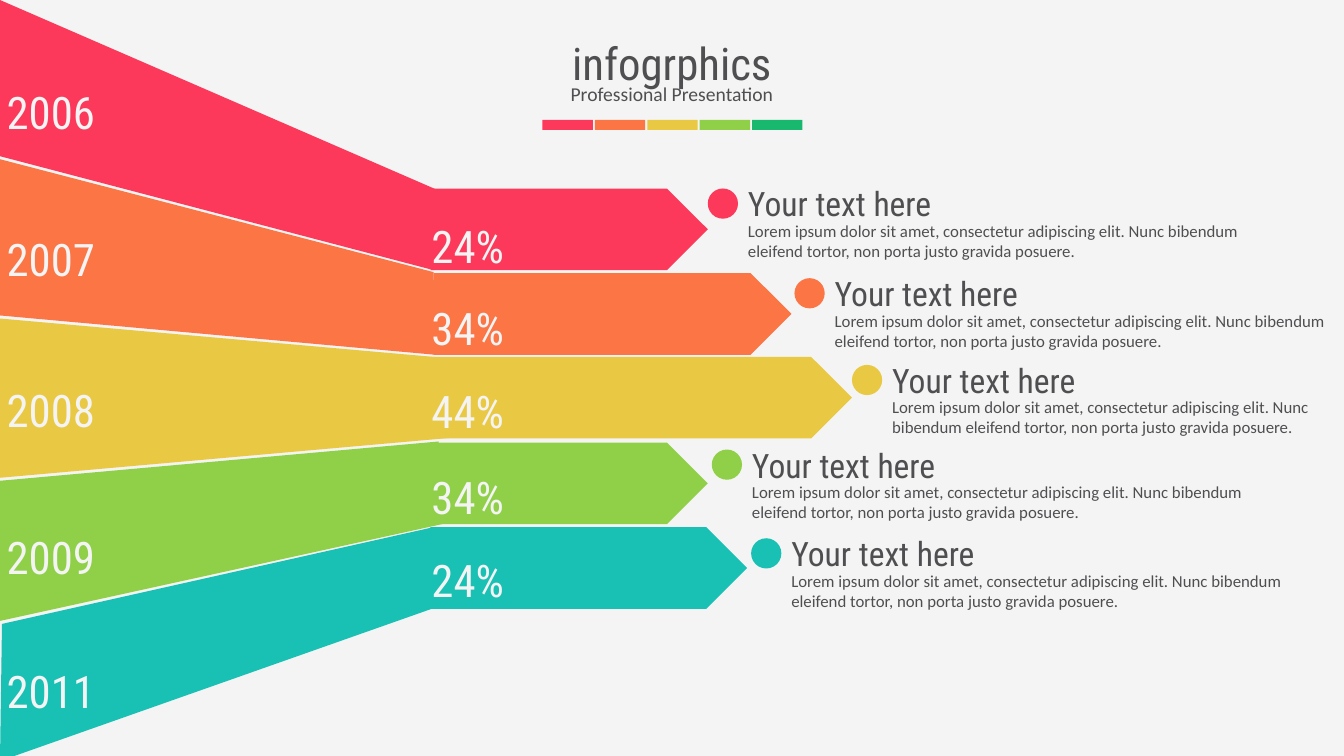
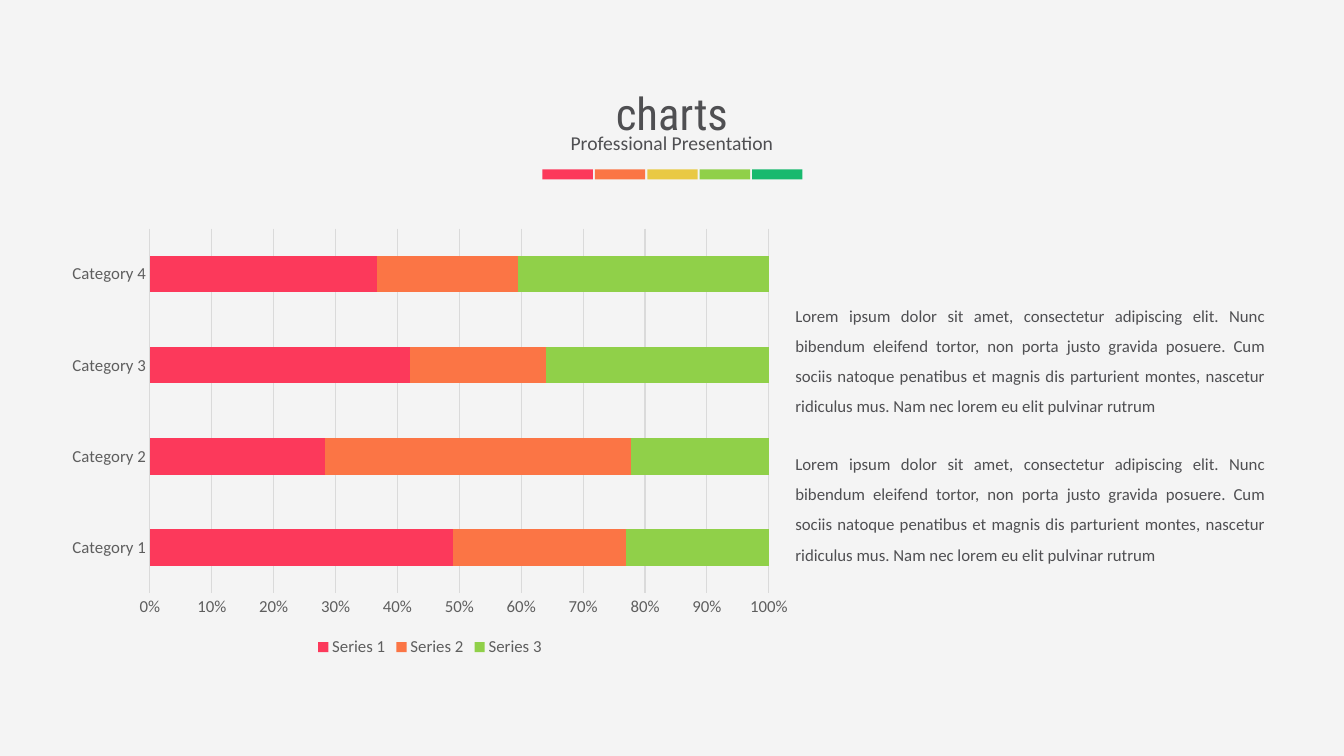
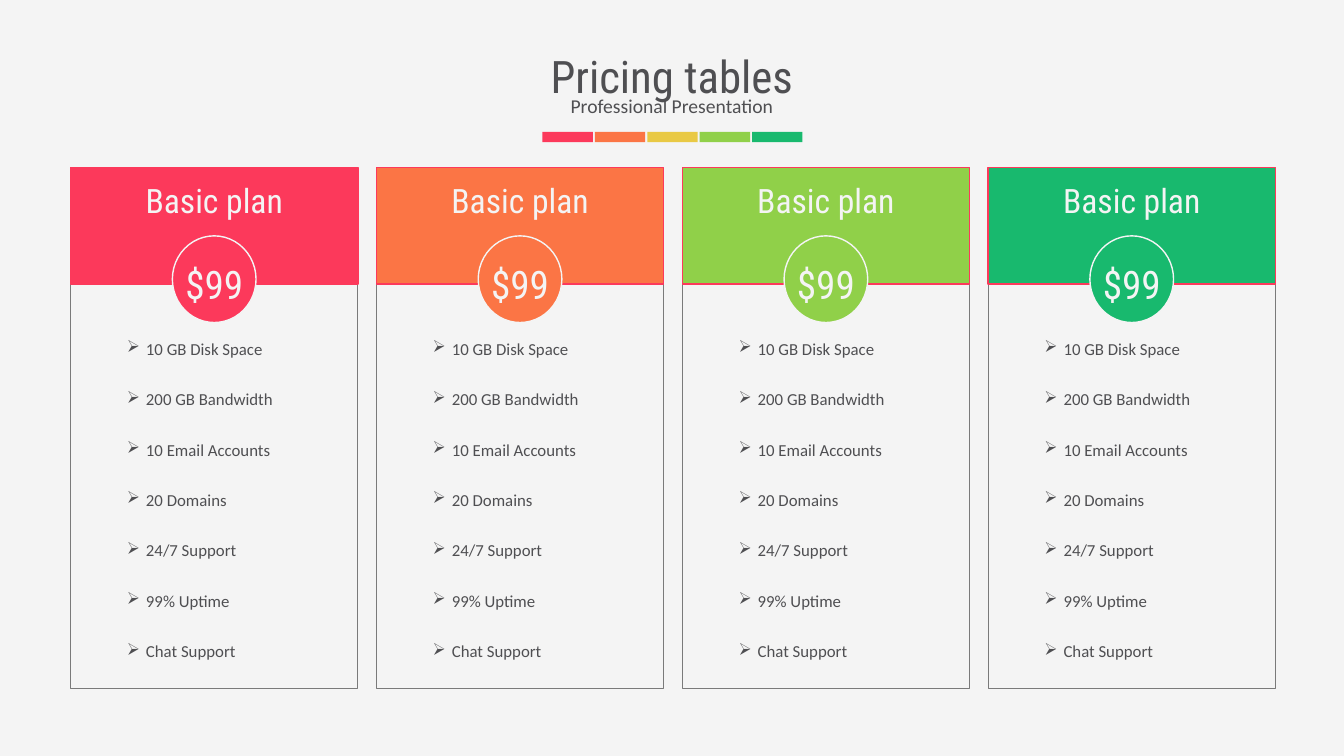
from lxml import etree
from pptx import Presentation
from pptx import util as u
from pptx.chart import data as chart_data
from pptx.dml.color import RGBColor
from pptx.enum import chart as charts, shapes, text
from pptx.oxml import ns

# Shared colours
PAPER = RGBColor(0xF4, 0xF4, 0xF4)
INK = RGBColor(0x4F, 0x4F, 0x52)
RED = RGBColor(0xFC, 0x39, 0x5B)
ORANGE = RGBColor(0xFB, 0x75, 0x45)
YELLOW = RGBColor(0xE9, 0xC9, 0x44)
LIME = RGBColor(0x90, 0xD0, 0x49)
GREEN = RGBColor(0x18, 0xB9, 0x6E)
TEAL = RGBColor(0x19, 0xC0, 0xB4)
BORDER = RGBColor(0x7A, 0x7A, 0x7A)
LABEL = RGBColor(0x5E, 0x5E, 0x5E)
GRID = RGBColor(0xDA, 0xDA, 0xDA)

# Shared fonts and measures
HEAD, BODY = "Roboto Condensed", "Calibri"
PAGE_WIDTH, PAGE_HEIGHT = 13.33, 7.5
SHAPE = shapes.MSO_SHAPE
ALIGN = text.PP_ALIGN

LOREM = ("Lorem ipsum dolor sit amet, consectetur adipiscing elit. Nunc bibendum "
         "eleifend tortor, non porta justo gravida posuere.")
LONG_LOREM = LOREM + (" Cum sociis natoque penatibus et magnis dis parturient montes, nascetur "
                      "ridiculus mus. Nam nec lorem eu elit pulvinar rutrum")
FEATURES = ["10 GB Disk Space", "200 GB Bandwidth", "10 Email Accounts", "20 Domains",
            "24/7 Support", "99% Uptime", "Chat Support"]


def inches(*lengths):
    return [u.Inches(length) for length in lengths]


def add_bullet(para, mark, indent):
    props = para._p.get_or_add_pPr()
    props.set("marL", str(u.Inches(indent)))
    props.set("indent", str(-u.Inches(indent)))
    etree.SubElement(props, ns.qn("a:buChar")).set("char", mark)


def add_text(page, content, left, top, width, height, *, size=12, font=BODY, color=INK,
             align=ALIGN.LEFT, spacing=None, bullet=None):
    """Write one paragraph per line of content."""
    box = page.shapes.add_textbox(*inches(left, top, width, height))
    frame = box.text_frame
    frame.word_wrap = True
    frame.auto_size = text.MSO_AUTO_SIZE.SHAPE_TO_FIT_TEXT
    frame.text = content
    for para in frame.paragraphs:
        if bullet:
            add_bullet(para, bullet, 0.19)
        para.alignment = align
        if spacing:
            para.line_spacing = spacing
        for span in para.runs:
            span.font.size = u.Pt(size)
            span.font.name = font
            span.font.color.rgb = color


def paint(shape, fill=None, line=None, line_width=1):
    shape.shadow.inherit = False
    if fill is None:
        shape.fill.background()
    else:
        shape.fill.solid()
        shape.fill.fore_color.rgb = fill
    if line is None:
        shape.line.fill.background()
    else:
        shape.line.color.rgb = line
        shape.line.width = u.Pt(line_width)
    return shape


def add_box(page, kind, left, top, width, height, **style):
    return paint(page.shapes.add_shape(kind, *inches(left, top, width, height)), **style)


def add_polygon(page, points, fill):
    start, *rest = [tuple(inches(*point)) for point in points]
    builder = page.shapes.build_freeform(*start)
    builder.add_line_segments(rest, close=True)
    paint(builder.convert_to_shape(), fill=fill)


def add_page(deck, title, top):
    """Blank page with the shared title, subtitle and colour strip."""
    page = deck.slides.add_slide(deck.slide_layouts[6])
    page.background.fill.solid()
    page.background.fill.fore_color.rgb = PAPER
    add_text(page, title, 0, top, PAGE_WIDTH, 0.64, size=32, font=HEAD, align=ALIGN.CENTER)
    add_text(page, "Professional Presentation", 0.68, top + 0.45, 11.97, 0.34,
             size=14, align=ALIGN.CENTER)
    for i, color in enumerate([RED, ORANGE, YELLOW, LIME, GREEN]):
        add_box(page, SHAPE.RECTANGLE, 5.38 + 0.52 * i, top + 0.88, 0.5, 0.1, fill=color)
    return page


# Infographic slide
def add_arrow(page, color, beam, plate):
    """Beam from the left edge leading into an arrow plate; no beam points means a trapezoid."""
    left, top, width = plate
    if beam:
        add_polygon(page, beam, color)
    else:
        length, thickness = 4.46, 1.58
        middle = top + 0.41
        trapezoid = add_box(page, SHAPE.TRAPEZOID, (length - thickness) / 2,
                            middle - length / 2, thickness, length, fill=color)
        trapezoid.rotation = 90
    add_box(page, SHAPE.PENTAGON, left, top, width, 0.81, fill=color)


def add_note(page, color, left, top, width):
    add_text(page, LOREM, left + 0.3, top + 0.27, width, 0.5)
    add_text(page, "Your text here", left + 0.3, top - 0.1, 3.17, 0.5, size=24, font=HEAD)
    add_box(page, SHAPE.OVAL, left, top, 0.3, 0.3, fill=color)


def build_infographic(deck):
    page = add_page(deck, "infogrphics", 0.31)
    # colour, beam points, plate (left, top, width), (year, top), (share, top), note
    rows = [
        (RED, [(0, 0), (4.35, 1.89), (4.3, 2.68), (0, 1.55)], (4.27, 1.87, 2.75),
         ("2006", 0.79), ("24%", 2.12), (7.02, 1.87, 5.21)),
        (ORANGE, [(0, 1.58), (4.3, 2.7), (4.32, 3.52), (0, 3.13)], (4.3, 2.71, 3.55),
         ("2007", 2.25), ("34%", 2.93), (7.88, 2.76, 5.21)),
        (YELLOW, None, (3.15, 3.54, 5.3),
         ("2008", 3.75), ("44%", 3.76), (8.45, 3.62, 4.47)),
        (LIME, [(0, 4.77), (4.35, 4.38), (4.43, 5.19), (0, 6.16)], (4.27, 4.39, 2.75),
         ("2009", 5.21), ("34%", 4.61), (7.06, 4.46, 5.21)),
        (TEAL, [(0.02, 6.19), (4.3, 5.23), (4.31, 6.03), (0, 7.55)], (4.27, 5.23, 3.14),
         ("2011", 6.54), ("24%", 5.43), (7.45, 5.34, 5.21)),
    ]
    white_label = dict(size=32, font=HEAD, color=PAPER, align=ALIGN.CENTER)
    for color, beam, plate, (year, year_top), (share, share_top), note in rows:
        add_arrow(page, color, beam, plate)
        add_text(page, year, -0.14, year_top, 1.29, 0.37, **white_label)
        add_text(page, share, 4.12, share_top, 1.04, 0.37, **white_label)
        add_note(page, color, *note)


# Chart slide
def style_font(font, size=12, color=LABEL):
    font.name = BODY
    font.size = u.Pt(size)
    font.color.rgb = color


def add_bar_chart(page, left, top, width, height):
    table = chart_data.CategoryChartData()
    table.categories = [f"Category {i}" for i in range(1, 5)]
    series = [("Series 1", (49, 28, 42, 37), RED),
              ("Series 2", (28, 49, 22, 23), ORANGE),
              ("Series 3", (23, 22, 36, 41), LIME)]
    for name, values, _ in series:
        table.add_series(name, values)
    chart = page.shapes.add_chart(charts.XL_CHART_TYPE.BAR_STACKED_100,
                                  *inches(left, top, width, height), table).chart
    style_font(chart.font)
    chart.has_title = False
    chart.has_legend = True
    chart.legend.position = charts.XL_LEGEND_POSITION.BOTTOM
    chart.legend.include_in_layout = False
    style_font(chart.legend.font)

    plot = chart.plots[0]
    plot.gap_width, plot.overlap = 150, 100
    plot.vary_by_categories = False
    for bars, (_, _, color) in zip(plot.series, series):
        bars.format.fill.solid()
        bars.format.fill.fore_color.rgb = color

    for axis in (chart.category_axis, chart.value_axis):
        axis.major_tick_mark = axis.minor_tick_mark = charts.XL_TICK_MARK.NONE
        axis.format.line.fill.background()
        style_font(axis.tick_labels.font)
    chart.category_axis.has_major_gridlines = False
    values = chart.value_axis
    values.has_major_gridlines = True
    values.major_gridlines.format.line.color.rgb = GRID
    values.major_gridlines.format.line.width = u.Pt(0.75)
    values.tick_labels.number_format = "0%"
    values.tick_labels.number_format_is_linked = False


def build_charts(deck):
    page = add_page(deck, "charts", 0.8)
    add_bar_chart(page, 0.57, 2.18, 7.39, 4.38)
    for top in (2.88, 4.35):
        add_text(page, LONG_LOREM, 7.79, top, 4.86, 1.31, align=ALIGN.JUSTIFY, spacing=1.5)


# Pricing slide
def add_plan(page, color, left, top, width):
    def centred(part_width):
        return left + (width - part_width) / 2

    white_label = dict(font=HEAD, color=PAPER, align=ALIGN.CENTER)
    add_box(page, SHAPE.RECTANGLE, left, top + 0.79, width, 4.38, line=BORDER, line_width=0)
    add_text(page, "\n".join(FEATURES), centred(1.93), top + 1.35, 1.93, 3.64,
             spacing=2.5, bullet="➢")
    add_box(page, SHAPE.RECTANGLE, left, top, width, 1.16, fill=color, line=RED)
    add_text(page, "Basic plan", left, top + 0.08, width, 0.5, size=24, **white_label)
    add_box(page, SHAPE.OVAL, centred(0.83), top + 0.68, 0.83, 0.86, fill=color, line=PAPER)
    add_text(page, "$99", centred(1.62), top + 0.87, 1.62, 0.57, size=28, **white_label)


def build_pricing(deck):
    page = add_page(deck, "Pricing tables", 0.43)
    first, last, width = 0.7, 9.8, 2.85
    colors = [RED, ORANGE, LIME, GREEN]
    step = (last - first) / (len(colors) - 1)
    for i, color in enumerate(colors):
        add_plan(page, color, first + i * step, 1.66, width)


def main():
    deck = Presentation()
    deck.slide_width, deck.slide_height = inches(PAGE_WIDTH, PAGE_HEIGHT)
    build_infographic(deck)
    build_charts(deck)
    build_pricing(deck)
    deck.save("out.pptx")


if __name__ == "__main__":
    main()
